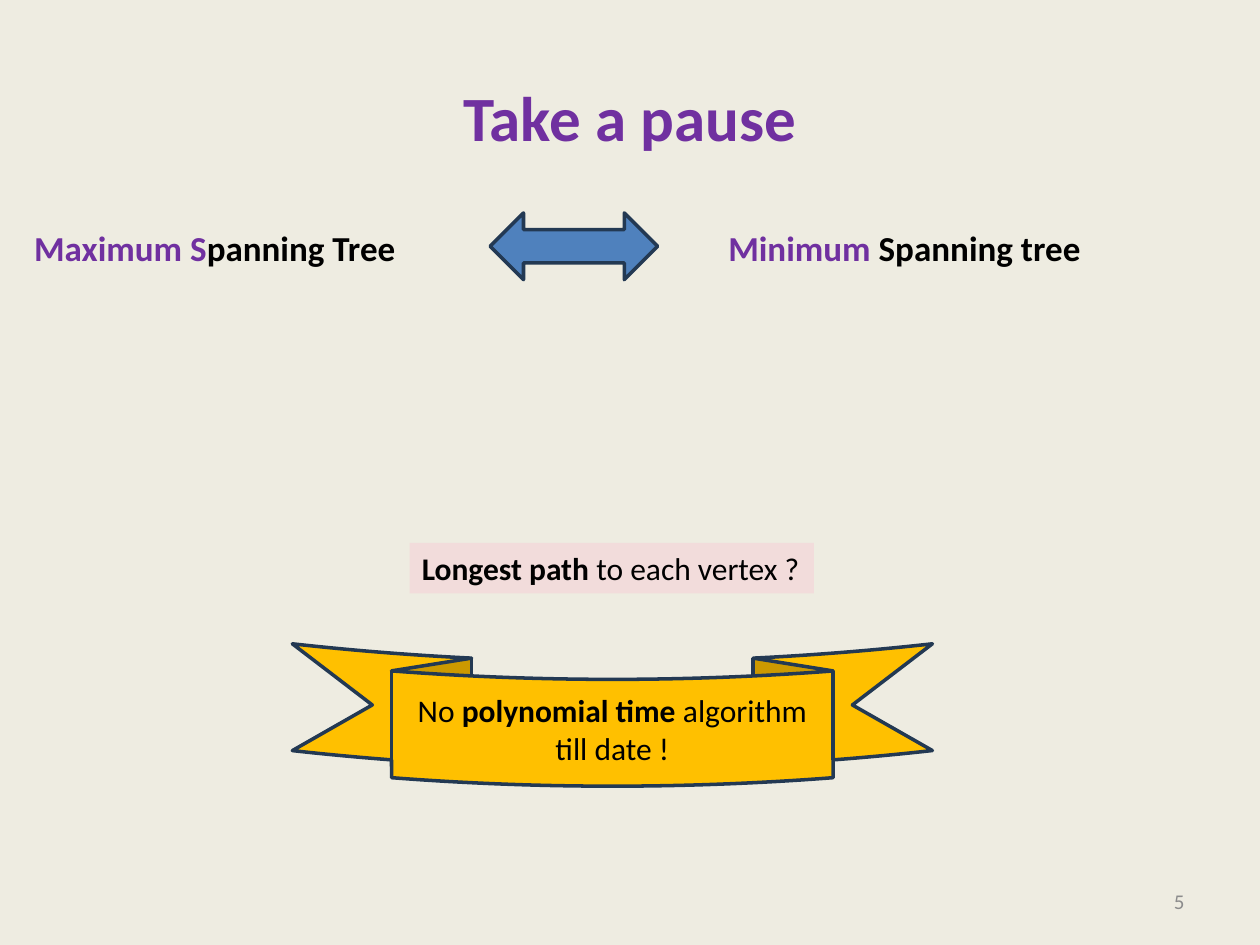
from dataclasses import dataclass

from lxml import etree
from pptx import Presentation
from pptx.dml.color import RGBColor
from pptx.enum import shapes, text
from pptx.oxml import ns
from pptx.util import Inches, Pt


@dataclass(frozen=True)
class Theme:
    font: str = "Calibri"
    background: str = "EEECE1"
    accent: str = "7030A0"
    ink: str = "000000"
    muted: str = "8C8C8C"
    outline: str = "233953"
    arrow: str = "4F81BD"
    ribbon: str = "FFC000"
    question: str = "F2DCDB"
    title_size: int = 36
    body_size: int = 20
    label_size: int = 18
    number_size: int = 12


theme = Theme()


def add_runs(paragraph, size, *runs):
    """Add (wording, colour, bold) runs in one type size."""
    for wording, color, bold in runs:
        run = paragraph.add_run()
        run.text = wording
        run.font.name = theme.font
        run.font.size = Pt(size)
        run.font.bold = bold
        run.font.color.rgb = RGBColor.from_string(color)


def add_outlined_shape(kind, fill, left, top, width, height):
    shape = slide.shapes.add_shape(
        kind, Inches(left), Inches(top), Inches(width), Inches(height))
    shape.shadow.inherit = False
    shape.fill.solid()
    shape.fill.fore_color.rgb = RGBColor.from_string(fill)
    shape.line.color.rgb = RGBColor.from_string(theme.outline)
    shape.line.width = Pt(2)
    return shape


presentation = Presentation()
presentation.slide_width = Inches(10)
presentation.slide_height = Inches(7.5)
two_content_layout = presentation.slide_layouts[3]
slide = presentation.slides.add_slide(two_content_layout)
slide.background.fill.solid()
slide.background.fill.fore_color.rgb = RGBColor.from_string(theme.background)

# Title
title = slide.shapes.title
title.left, title.top = Inches(0.5), Inches(0.3)
title.width, title.height = Inches(9), Inches(1.25)
title.text_frame.vertical_anchor = text.MSO_ANCHOR.MIDDLE
paragraph = title.text_frame.paragraphs[0]
paragraph.alignment = text.PP_ALIGN.CENTER
add_runs(paragraph, theme.title_size, ("Take a pause", theme.accent, True))

# The two problems, side by side
problems = [
    (1, 0.17, 3.6, "Maximum S", "panning Tree"),
    (2, 5.68, 4.32, "Minimum", " Spanning tree"),
]
for placeholder_index, left, width, highlighted, rest in problems:
    body = slide.placeholders[placeholder_index]
    body.left, body.top = Inches(left), Inches(1.75)
    body.width, body.height = Inches(width), Inches(4.95)
    body.text_frame.auto_size = text.MSO_AUTO_SIZE.NONE
    paragraph = body.text_frame.paragraphs[0]
    properties = paragraph._p.get_or_add_pPr()
    properties.set("marL", "0")
    properties.set("indent", "0")
    etree.SubElement(properties, ns.qn("a:buNone"))
    paragraph.space_before = Pt(0)
    add_runs(paragraph, theme.body_size,
             (highlighted, theme.accent, True),
             (rest, theme.ink, True))

# Slide number
number = slide.shapes.add_textbox(
    Inches(7.17), Inches(6.95), Inches(2.33), Inches(0.4))
number.text_frame.word_wrap = True
number.text_frame.vertical_anchor = text.MSO_ANCHOR.MIDDLE
paragraph = number.text_frame.paragraphs[0]
paragraph.alignment = text.PP_ALIGN.RIGHT
add_runs(paragraph, theme.number_size, ("5", theme.muted, False))

# Question
question = slide.shapes.add_textbox(
    Inches(3.25), Inches(4.31), Inches(3.21), Inches(0.4))
question.fill.solid()
question.fill.fore_color.rgb = RGBColor.from_string(theme.question)
question.text_frame.word_wrap = False
question.text_frame.auto_size = text.MSO_AUTO_SIZE.SHAPE_TO_FIT_TEXT
add_runs(question.text_frame.paragraphs[0], theme.label_size,
         ("Longest path ", theme.ink, True),
         ("to each vertex ?", theme.ink, False))

# Answer on a ribbon with a widened front
ribbon = add_outlined_shape(shapes.MSO_SHAPE.CURVED_DOWN_RIBBON, theme.ribbon,
                            2.32, 5.11, 5.08, 1.13)
ribbon.adjustments[1] = 0.69
ribbon.text_frame.word_wrap = True
ribbon.text_frame.vertical_anchor = text.MSO_ANCHOR.MIDDLE
paragraph = ribbon.text_frame.paragraphs[0]
paragraph.alignment = text.PP_ALIGN.CENTER
add_runs(paragraph, theme.label_size,
         ("No ", theme.ink, False),
         ("polynomial time ", theme.ink, True),
         ("algorithm till date !", theme.ink, False))

# Arrow between the two problems
add_outlined_shape(shapes.MSO_SHAPE.LEFT_RIGHT_ARROW, theme.arrow,
                   3.89, 1.69, 1.33, 0.53)

presentation.save("out.pptx")
